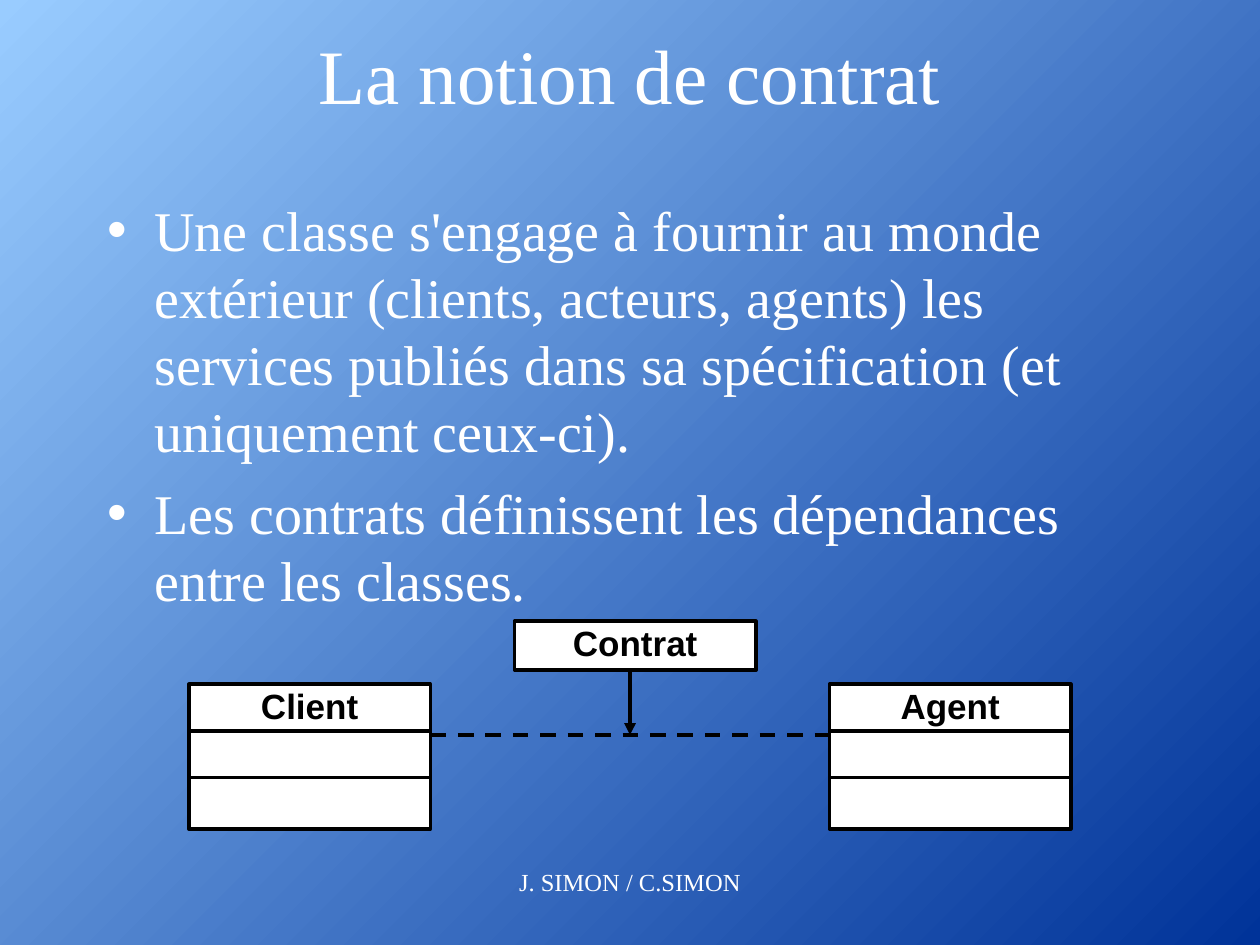
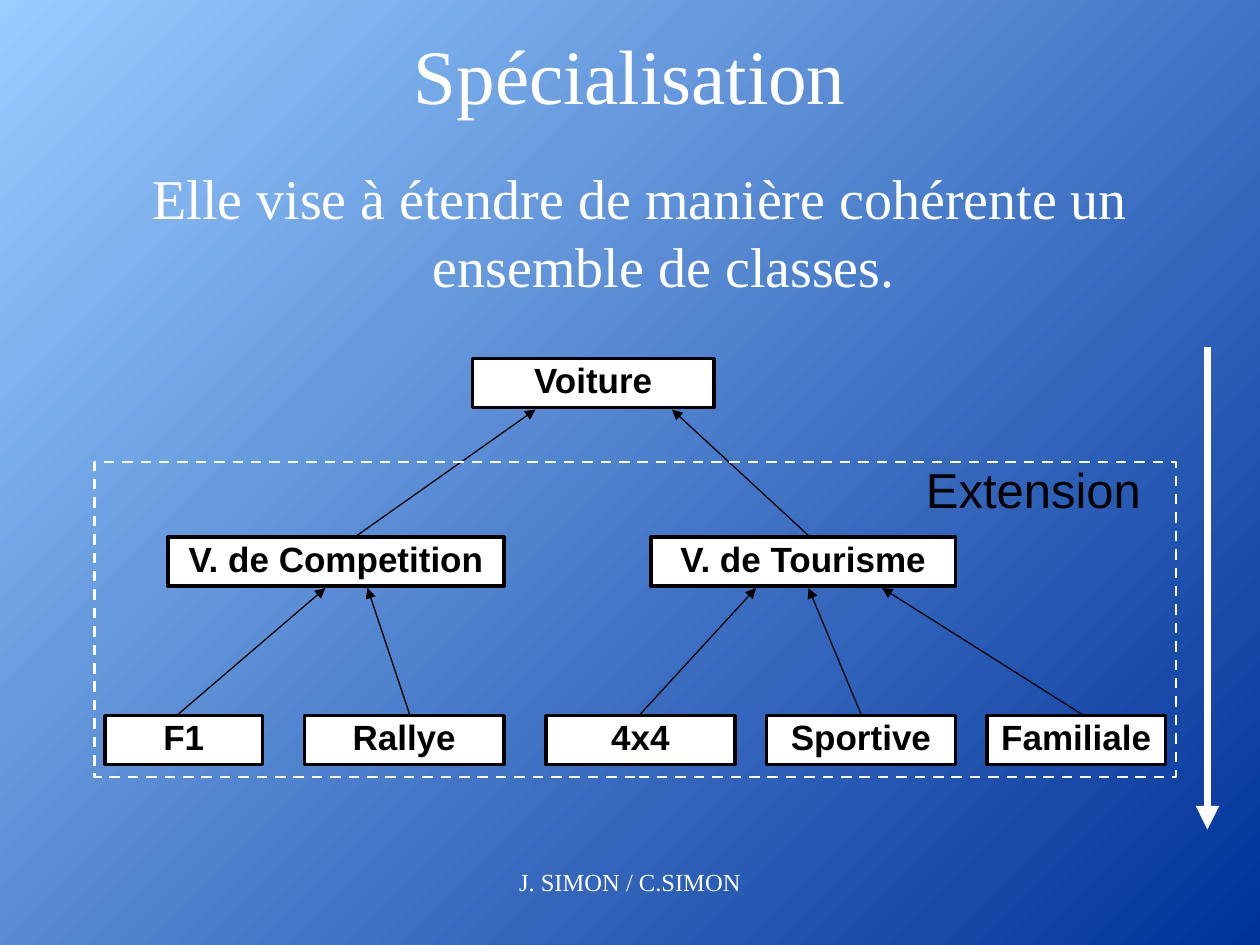
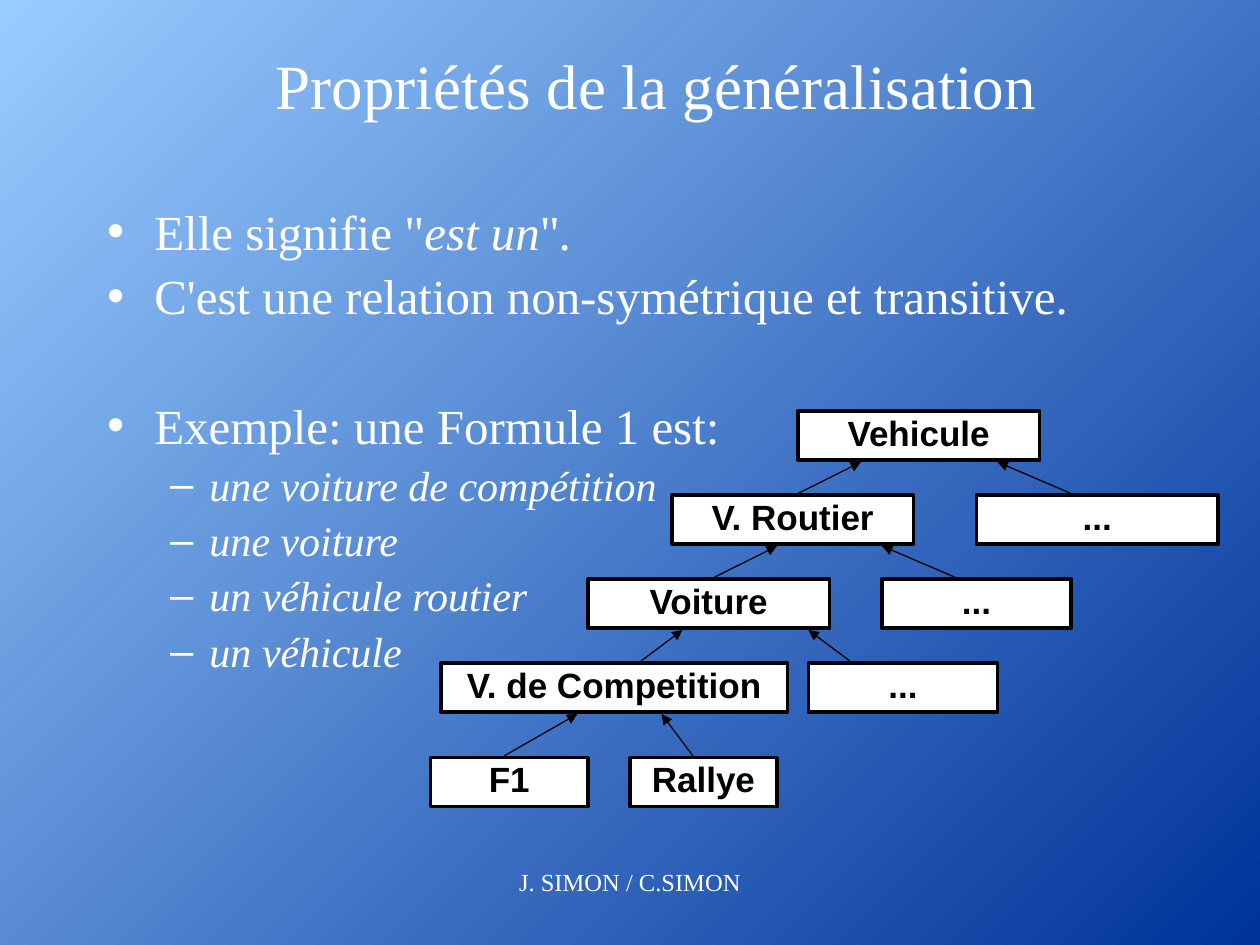
"""Builds three slides on contracts, specialisation and generalisation."""
from lxml import etree
from pptx import Presentation
from pptx.dml.color import RGBColor
from pptx.enum.dml import MSO_LINE
from pptx.enum.shapes import MSO_CONNECTOR, MSO_SHAPE
from pptx.enum.text import MSO_ANCHOR, MSO_AUTO_SIZE, PP_ALIGN
from pptx.oxml.ns import qn
from pptx.util import Pt

WHITE = RGBColor(0xFF, 0xFF, 0xFF)
BLACK = RGBColor(0x00, 0x00, 0x00)
NAVY = RGBColor(0x00, 0x33, 0x99)
SKY = RGBColor(0x99, 0xCC, 0xFF)
SERIF, SANS = "Times New Roman", "Arial"
CENTER, MIDDLE = PP_ALIGN.CENTER, MSO_ANCHOR.MIDDLE
FIXED, DASH = MSO_AUTO_SIZE.NONE, MSO_LINE.DASH
RECT, LINE = MSO_SHAPE.RECTANGLE, MSO_CONNECTOR.STRAIGHT
TALL = 28


class Deck:
    """Holds the style and the current slide."""

    def __init__(self):
        self.prs = Presentation()
        self.prs.slide_width, self.prs.slide_height = Pt(720), Pt(540)
        fill = self.prs.slide_master.background.fill
        fill.gradient()
        fill.gradient_angle = 135
        for stop, color in zip(fill.gradient_stops, (NAVY, SKY)):
            stop.color.rgb = color

    def start(self, title, area=(54, 18, 612, 48), size=44):
        """Add a slide with its title and footer."""
        self.slide = self.prs.slides.add_slide(self.prs.slide_layouts[1])
        head = self.slide.shapes.title
        self.place(head, area)
        head.text_frame.text = title
        head.text_frame.vertical_anchor = MIDDLE
        self.style(head.text_frame.paragraphs[0], size, align=CENTER)
        self.label("J. SIMON / C.SIMON", (216, 492, 288, 36), 14)

    def place(self, shape, area):
        """Move a placeholder and fix its size."""
        shape.left, shape.top, shape.width, shape.height = map(Pt, area)
        shape.text_frame.auto_size = FIXED

    def style(self, para, size, color=WHITE, font=SERIF, align=None, bold=False):
        """Format a paragraph and its runs."""
        para.alignment = align
        for run in para.runs:
            run.font.size, run.font.name = Pt(size), font
            run.font.color.rgb, run.font.bold = color, bold

    def body(self, items, area=(54, 108, 612, 372), line=None, plain=False):
        """Fill the list from (text, level, size, space before); stars mark italics."""
        shape = self.slide.placeholders[1]
        self.place(shape, area)
        frame = shape.text_frame
        for i, (text, level, size, gap) in enumerate(items):
            para = frame.add_paragraph() if i else frame.paragraphs[0]
            para.level, para.space_before = level, Pt(gap)
            if line:
                para.line_spacing = line
            for j, part in enumerate(text.split("*")):
                if part:
                    run = para.add_run()
                    run.text, run.font.italic = part, j % 2 == 1
            self.style(para, size, align=CENTER if plain else None)
            if plain:
                etree.SubElement(para._p.get_or_add_pPr(), qn("a:buNone"))

    def label(self, text, area, size, color=WHITE, font=SERIF, mid=False):
        """Add centred text without a frame."""
        frame = self.slide.shapes.add_textbox(*map(Pt, area)).text_frame
        frame.word_wrap = not mid
        frame.text = text
        para = frame.paragraphs[0]
        self.style(para, size, color, font, CENTER)
        if mid:
            frame.vertical_anchor = MIDDLE
            para.line_spacing = 0.85

    def rect(self, area, color=BLACK, weight=2, fill=WHITE, dash=None):
        """Add a rectangle."""
        shape = self.slide.shapes.add_shape(RECT, *map(Pt, area))
        shape.shadow.inherit = False
        if fill is None:
            shape.fill.background()
        else:
            shape.fill.solid()
            shape.fill.fore_color.rgb = fill
        self.stroke(shape.line, color, weight, dash)
        return shape

    def stroke(self, line, color, weight, dash):
        """Format a line."""
        line.color.rgb, line.width = color, Pt(weight)
        if dash:
            line.dash_style = dash

    def box(self, text, left, top, width):
        """Add a class name in a box."""
        frame = self.rect((left, top, width, TALL)).text_frame
        frame.text, frame.word_wrap = text, False
        frame.vertical_anchor = MIDDLE
        para = frame.paragraphs[0]
        para.line_spacing = 0.85
        self.style(para, 20, BLACK, SANS, CENTER, True)

    def card(self, text, left, top, width):
        """Add a class with two empty parts."""
        self.box(text, left, top, width)
        for i in (1, 2):
            self.rect((left, top + i * 26.6, width, 29.5))

    def link(self, ends, weight=0.75, color=BLACK, dash=None, arrow=True):
        """Add a line, with an arrowhead at its end if asked."""
        conn = self.slide.shapes.add_connector(LINE, *map(Pt, ends))
        self.stroke(conn.line, color, weight, dash)
        props = conn.element.spPr
        if arrow:
            etree.SubElement(props.find(qn("a:ln")), qn("a:tailEnd"), type="triangle")
        etree.SubElement(props, qn("a:effectLst"))

    def tree(self, rows):
        """Draw rows of (top, boxes, links up to the row above)."""
        above = None
        for top, boxes, links in rows:
            for text, left, width in boxes:
                self.box(text, left, top, width)
            for low, high in links:
                self.link((low, top - 1, high, above + TALL + 1))
            above = top


def pact(deck):
    """Draw the contract slide."""
    deck.start("La notion de contrat")
    deck.body([
        ("Une classe s'engage à fournir au monde extérieur (clients, acteurs, "
         "agents) les services publiés dans sa spécification (et uniquement "
         "ceux-ci).", 0, 32, 8),
        ("Les contrats définissent les dépendances entre les classes.", 0, 32, 8),
    ])
    deck.card("Client", 108, 391, 138)
    deck.card("Agent", 474, 391, 138)
    deck.box("Contrat", 294, 355, 138)
    deck.link((246, 420, 474, 420), 2.25, dash=DASH, arrow=False)
    deck.link((360, 384, 360, 420), 2.25)


def special(deck):
    """Draw the specialisation slide."""
    deck.start("Spécialisation")
    deck.body([("Elle vise à étendre de manière cohérente un ensemble de classes.",
                0, 32, 8)], (36, 90, 660, 360), plain=True)
    deck.link((690, 198, 690, 474), 4.5, WHITE)
    deck.tree([
        (205, [("Voiture", 270, 138)], []),
        (307, [("V. de Competition", 96, 192), ("V. de Tourisme", 372, 174)],
         [(204, 306), (462, 384)]),
        (409, [("F1", 60, 90), ("Rallye", 174, 114), ("4x4", 312, 108),
               ("Sportive", 438, 108), ("Familiale", 564, 102)],
         [(102, 186), (234, 210), (366, 432), (492, 462), (618, 504)]),
    ])
    deck.rect((54, 264, 618, 180), WHITE, 1.5, None, DASH)
    deck.label("Extension", (522, 264, 137, 36), 28, BLACK, SANS, True)


def general(deck):
    """Draw the generalisation slide."""
    deck.start("Propriétés de la généralisation", (132, 24, 486, 48), 36)
    kinds = ("une voiture de compétition", "une voiture",
             "un véhicule routier", "un véhicule")
    deck.body([
        ('Elle signifie "*est un*"*.*', 0, 28, 0),
        ("C'est une relation non-symétrique et transitive.", 0, 28, 0),
        ("Exemple: une Formule 1 est:", 0, 28, 37),
        *((f"*{kind}*", 1, 24, 0) for kind in kinds),
    ], line=1.1)
    deck.tree([
        (235, [("Vehicule", 456, 138)], []),
        (283, [("V. Routier", 384, 138), ("...", 558, 138)],
         [(456, 492), (612, 570)]),
        (331, [("Voiture", 336, 138), ("...", 504, 108)],
         [(408, 444), (546, 504)]),
        (379, [("V. de Competition", 252, 198), ("...", 462, 108)],
         [(366, 390), (486, 462)]),
        (433, [("F1", 246, 90), ("Rallye", 360, 84)],
         [(288, 330), (396, 378)]),
    ])


def main():
    """Build and save the slides."""
    deck = Deck()
    for draw in (pact, special, general):
        draw(deck)
    deck.prs.save("out.pptx")


if __name__ == "__main__":
    main()
